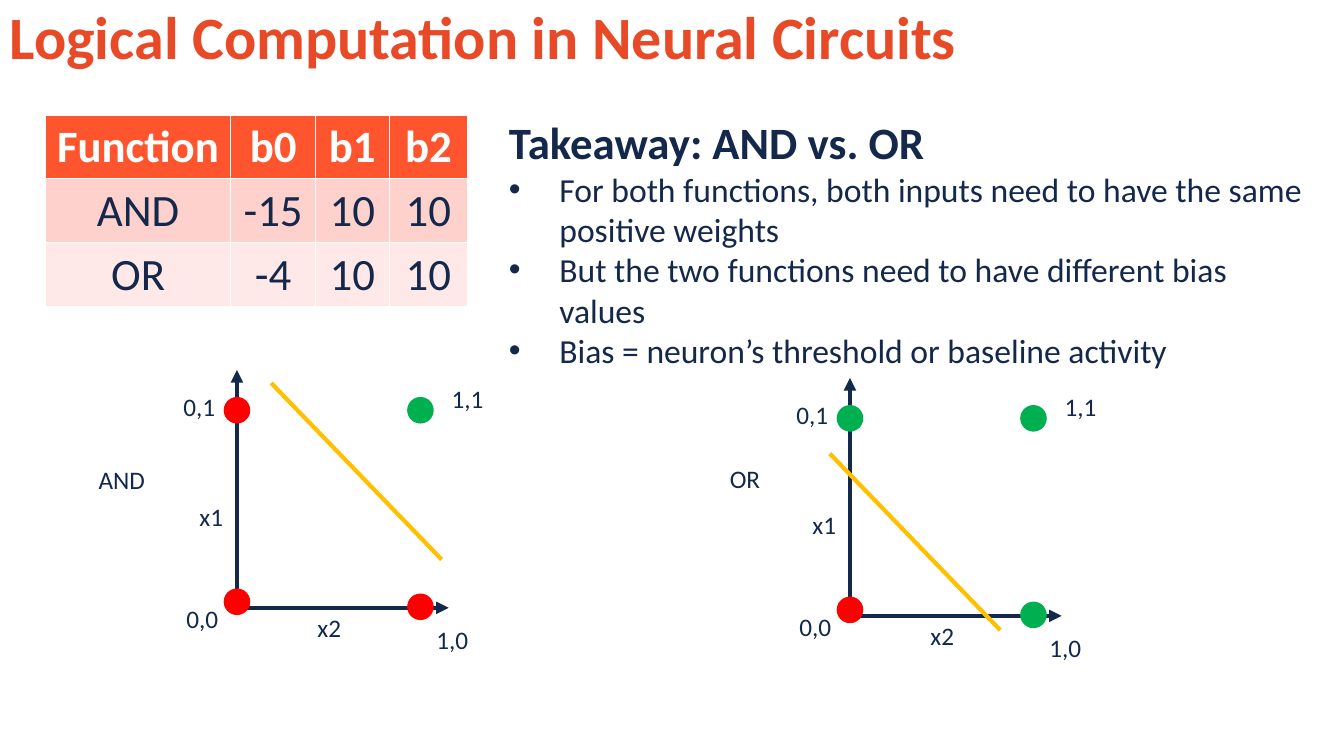
from dataclasses import dataclass
from typing import Any

from lxml.etree import SubElement
from pptx import Presentation
from pptx.dml.color import RGBColor
from pptx.enum.shapes import MSO_CONNECTOR, MSO_SHAPE
from pptx.enum.text import MSO_ANCHOR, PP_ALIGN
from pptx.oxml.ns import qn
from pptx.util import Inches, Pt


@dataclass(frozen=True)
class Theme:
    """Colours, font and type sizes of the slide."""
    font: str = "Calibri"
    title: str = "E84A27"
    ink: str = "13284B"
    axis: str = "13294B"
    header: str = "FF552E"
    rows: tuple[str, ...] = ("FFD1CD", "FFE9E8")
    white: str = "FFFFFF"
    on: str = "00B050"
    off: str = "FF0000"
    boundary: str = "FFC000"
    title_pt: float = 42.9
    head_pt: float = 32
    body_pt: float = 24
    label_pt: float = 18


@dataclass(frozen=True)
class Plot:
    """One logic function drawn over its four input points."""
    name: str
    name_at: tuple[float, float]
    origin: tuple[float, float]
    boundary: tuple[float, float]
    states: tuple[bool, bool, bool, bool]


T = Theme()
DOT = 0.25
DOTS = ((1.82, -1.96), (0, -1.96), (0, -0.06), (1.82, -0.01))
LABELS = (("x1", -0.47, -1.11), ("x2", 0.7, 0), ("0,1", -0.63, -2.2),
          ("1,1", 2.03, -2.28), ("1,0", 1.88, 0.11), ("0,0", -0.6, -0.09))
PLOTS = (
    Plot("AND", (0.88, 4.56), (2.35, 6.03), (2.69, 3.8), (True, False, False, False)),
    Plot("OR", (7.14, 4.55), (8.43, 6.11), (8.23, 4.5), (True, True, False, True)),
)
WEIGHTS = (("Function", "b0", "b1", "b2"), ("AND", "-15", "10", "10"), ("OR", "-4", "10", "10"))
COL_WIDTHS = (1.84, 0.84, 0.73, 0.78)
TAKEAWAYS = (
    "For both functions, both inputs need to have the same positive weights",
    "But the two functions need to have different bias values",
    "Bias = neuron’s threshold or baseline activity",
)


def add_run(p: Any, text: str, size: float, color: str = T.ink, bold: bool = False) -> None:
    """Add a formatted run to a paragraph."""
    r = p.add_run()
    r.text = text
    for key, value in {"name": T.font, "size": Pt(size), "bold": bold}.items():
        setattr(r.font, key, value)
    r.font.color.rgb = RGBColor.from_string(color)


def add_box(s: Any, x: float, y: float, w: float, h: float, wrap: bool = True) -> Any:
    """Add a text box and return its text frame."""
    tf = s.shapes.add_textbox(Inches(x), Inches(y), Inches(w), Inches(h)).text_frame
    tf.word_wrap = wrap
    return tf


def add_label(s: Any, text: str, x: float, y: float) -> None:
    """Add a small unwrapped label."""
    width = {"x1": 0.44, "x2": 0.44, "AND": 0.67, "OR": 0.51}.get(text, 0.52)
    add_run(add_box(s, x, y, width, 0.4, False).paragraphs[0], text, T.label_pt)


def add_line(s: Any, start: tuple[float, float], end: tuple[float, float],
             color: str, arrow: bool = False) -> None:
    """Add a straight line, with an arrowhead at its end if asked."""
    sp = s.shapes.add_connector(MSO_CONNECTOR.STRAIGHT, *map(Inches, start + end))
    sp.line.color.rgb = RGBColor.from_string(color)
    sp.line.width = Pt(3)
    if arrow:
        SubElement(sp.line._get_or_add_ln(), qn("a:tailEnd"), type="triangle")
    SubElement(sp._element.spPr, qn("a:effectLst"))


def add_dot(s: Any, x: float, y: float, color: str) -> None:
    """Add a filled dot centred on a point."""
    sp = s.shapes.add_shape(MSO_SHAPE.OVAL, Inches(x - DOT / 2), Inches(y - DOT / 2),
                            Inches(DOT), Inches(DOT))
    sp.shadow.inherit = False
    sp.fill.solid()
    sp.line.width = Pt(1)
    for part in (sp.fill.fore_color, sp.line.color):
        part.rgb = RGBColor.from_string(color)


def add_plot(s: Any, plot: Plot) -> None:
    """Draw axes, input points, decision boundary and labels."""
    x, y = plot.origin
    add_line(s, (x, y), (x, y - 2.36), T.axis, True)
    add_line(s, (x, y), (x + 2.1, y), T.axis, True)
    for (dx, dy), state in zip(DOTS, plot.states):
        add_dot(s, x + dx, y + dy, T.on if state else T.off)
    bx, by = plot.boundary
    add_line(s, (bx + 1.69, by + 1.75), (bx, by), T.boundary)
    for text, dx, dy in LABELS:
        add_label(s, text, x + dx, y + dy)
    add_label(s, plot.name, *plot.name_at)


def add_title(s: Any) -> None:
    """Add the slide title."""
    tf = add_box(s, 0, 0, 12.56, 0.8)
    tf.vertical_anchor = MSO_ANCHOR.MIDDLE
    p = tf.paragraphs[0]
    p.line_spacing = 0.9
    add_run(p, "Logical Computation in Neural Circuits", T.title_pt, T.title, True)


def add_takeaways(s: Any) -> None:
    """Add the heading and its bullet list."""
    tf = add_box(s, 4.95, 1.09, 8.16, 2.66)
    add_run(tf.paragraphs[0], "Takeaway: AND vs. OR", T.head_pt, bold=True)
    for text in TAKEAWAYS:
        p = tf.add_paragraph()
        pPr = p._p.get_or_add_pPr()
        pPr.set("marL", str(Inches(0.5)))
        pPr.set("indent", str(-Inches(0.5)))
        SubElement(pPr, qn("a:buFont"), typeface="Arial")
        SubElement(pPr, qn("a:buChar"), char="•")
        add_run(p, text, T.body_pt)


def add_weights(s: Any) -> None:
    """Add the table of weights."""
    table = s.shapes.add_table(len(WEIGHTS), len(COL_WIDTHS), Inches(0.45), Inches(1.14),
                               Inches(sum(COL_WIDTHS)), Inches(1.9)).table
    table.horz_banding = False
    for column, width in zip(table.columns, COL_WIDTHS):
        column.width = Inches(width)
    for i, (row, fill) in enumerate(zip(WEIGHTS, (T.header, *T.rows))):
        for j, text in enumerate(row):
            cell = table.cell(i, j)
            cell.fill.solid()
            cell.fill.fore_color.rgb = RGBColor.from_string(fill)
            cell.vertical_anchor = MSO_ANCHOR.MIDDLE
            p = cell.text_frame.paragraphs[0]
            p.alignment = PP_ALIGN.CENTER
            add_run(p, text, T.head_pt, T.ink if i else T.white, i == 0)


def main() -> None:
    """Build and save the slide."""
    prs = Presentation()
    prs.slide_width, prs.slide_height = Inches(13.33), Inches(7.5)
    s = prs.slides.add_slide(prs.slide_layouts[6])
    add_title(s)
    add_takeaways(s)
    add_weights(s)
    for plot in PLOTS:
        add_plot(s, plot)
    prs.save("out.pptx")


if __name__ == "__main__":
    main()
